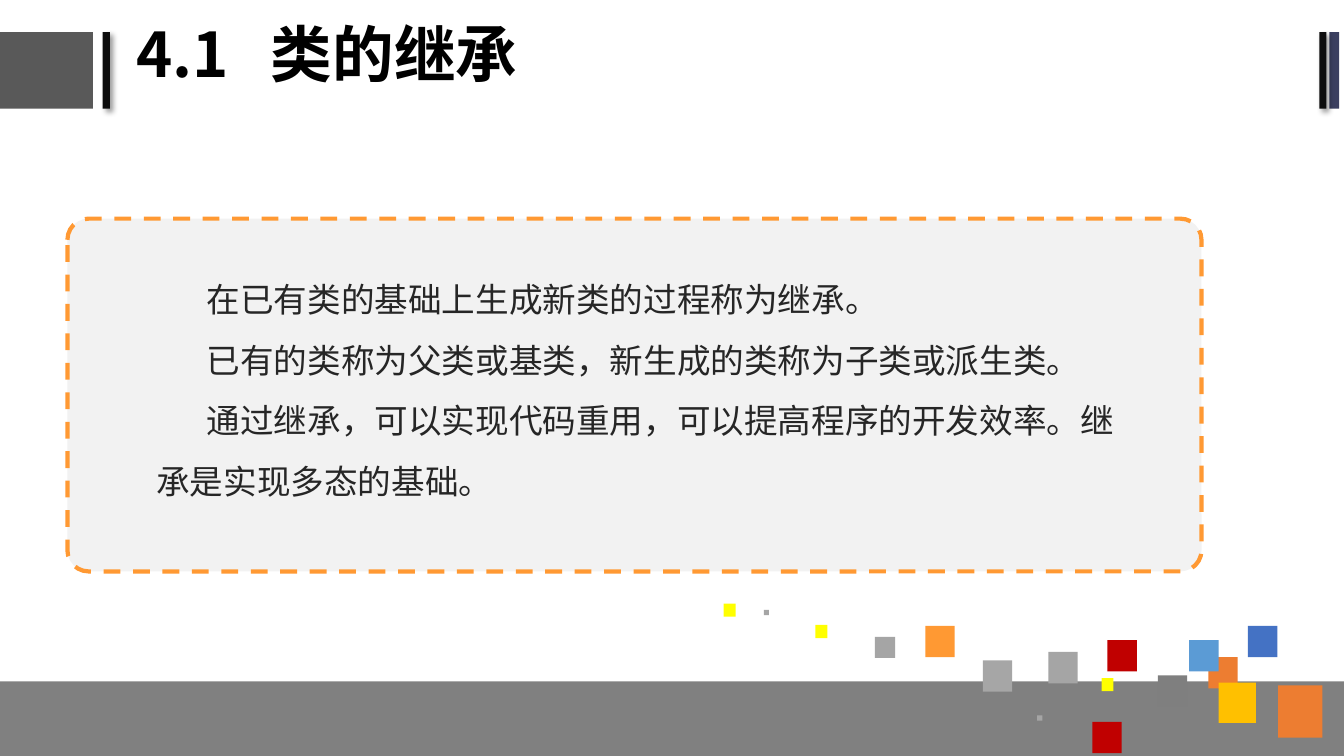
from dataclasses import dataclass

from lxml.etree import SubElement
from pptx import Presentation
from pptx.dml.color import RGBColor
from pptx.enum.dml import MSO_LINE_DASH_STYLE as DASH
from pptx.enum.shapes import MSO_SHAPE as SHAPE
from pptx.enum.text import MSO_ANCHOR, PP_ALIGN
from pptx.oxml.ns import qn
from pptx.util import Cm, Pt

FONT = "Noto Sans CJK SC"
GREY, ORANGE, YELLOW, RED = "A5A5A5", "ED7D31", "FFFF00", "C00000"

# Width and height of the decorative tiles, in cm
DOT, SMALL, MEDIUM = (0.13, 0.13), (0.3, 0.33), (0.51, 0.53)
LARGE, WIDE, HUGE = (0.74, 0.79), (0.94, 1.02), (1.12, 1.32)


@dataclass
class Box:
    left: float
    top: float
    width: float
    height: float
    fill: str = "FFFFFF"
    shadow: bool = False

    def lengths(self) -> list:
        return [Cm(v) for v in (self.left, self.top, self.width, self.height)]


@dataclass
class Tile:
    left: float
    top: float
    size: tuple
    fill: str


HEADER_TOP, HEADER_HEIGHT = 0.81, 1.93
HEADER_BARS = [
    Box(0, HEADER_TOP, 2.34, HEADER_HEIGHT, "595959"),
    Box(2.59, HEADER_TOP, 0.18, HEADER_HEIGHT, "0D0D0D", True),
    Box(33.5, HEADER_TOP, 0.25, HEADER_HEIGHT, "3B3F60"),
    Box(33.25, HEADER_TOP, 0.18, HEADER_HEIGHT, "0D0D0D", True),
]
TITLE = Box(3.18, 0.05, 21.51, 2.79)
PANEL = Box(1.7, 5.51, 28.58, 8.89, "F2F2F2")
BODY = Box(3.61, 6.35, 25.63, 7.34)
FOOTER = Box(0, 17.17, 33.87, 1.88, "808080")

TILES = [
    Tile(32.21, 17.27, HUGE, ORANGE),
    Tile(30.45, 16.56, LARGE, ORANGE),
    Tile(30.71, 17.2, WIDE, "FFC000"),
    Tile(29.97, 16.13, LARGE, "5B9BD5"),
    Tile(26.14, 18.03, DOT, GREY),
    Tile(31.45, 15.77, LARGE, "4472C4"),
    Tile(27.76, 17.09, SMALL, YELLOW),
    Tile(26.42, 16.43, LARGE, GREY),
    Tile(27.91, 16.13, LARGE, RED),
    Tile(29.18, 17.02, LARGE, "7F7F7F"),
    Tile(27.53, 18.19, LARGE, RED),
    Tile(19.25, 15.37, DOT, GREY),
    Tile(20.55, 15.75, SMALL, YELLOW),
    Tile(22.05, 16.05, MEDIUM, GREY),
    Tile(23.32, 15.77, LARGE, "FF9933"),
    Tile(24.77, 16.64, LARGE, "A6A6A6"),
    Tile(18.24, 15.21, SMALL, YELLOW),
]
SENTENCES = [
    "在已有类的基础上生成新类的过程称为继承。",
    "已有的类称为父类或基类，新生成的类称为子类或派生类。",
    "通过继承，可以实现代码重用，可以提高程序的开发效率。继承是实现多态的基础。",
]


def rgb(value: str) -> RGBColor:
    return RGBColor.from_string(value)


def add_shadow(sp) -> None:
    effects = sp._element.spPr.find(qn("a:effectLst"))
    outer = SubElement(effects, qn("a:outerShdw"), blurRad=str(Pt(4)),
                       dist=str(Pt(3)), dir="2700000", algn="tl", rotWithShape="0")
    color = SubElement(outer, qn("a:srgbClr"), val="000000")
    SubElement(color, qn("a:alpha"), val="40000")


def add_box(shapes, box: Box, kind=SHAPE.RECTANGLE):
    sp = shapes.add_shape(kind, *box.lengths())
    sp.shadow.inherit = False
    sp.fill.solid()
    sp.fill.fore_color.rgb = rgb(box.fill)
    sp.line.fill.background()
    if box.shadow:
        add_shadow(sp)
    return sp


def add_text_frame(shapes, box: Box):
    tf = shapes.add_textbox(*box.lengths()).text_frame
    tf.word_wrap = True
    return tf


def write(p, text: str, size: int, color: str, spacing: float, bold: bool = False) -> None:
    p.text = text
    p.alignment = PP_ALIGN.LEFT
    p.line_spacing = spacing
    for r in p.runs:
        r.font.size = Pt(size)
        r.font.bold = bold
        r.font.color.rgb = rgb(color)
        r.font.name = FONT
        SubElement(r._r.get_or_add_rPr(), qn("a:ea"), typeface=FONT)


def add_title(shapes) -> None:
    tf = add_text_frame(shapes, TITLE)
    tf.vertical_anchor = MSO_ANCHOR.MIDDLE
    p = tf.paragraphs[0]
    tabs = SubElement(p._p.get_or_add_pPr(), qn("a:tabLst"))
    SubElement(tabs, qn("a:tab"), pos=str(Cm(3.4)), algn="l")
    write(p, "4.1\t类的继承", 44, "000000", 0.9, bold=True)


def add_panel(shapes) -> None:
    sp = add_box(shapes, PANEL, SHAPE.ROUNDED_RECTANGLE)
    sp.adjustments[0] = 0.06
    sp.line.color.rgb = rgb("FF9933")
    sp.line.width = Pt(3)
    sp.line.dash_style = DASH.DASH


def add_body(shapes) -> None:
    tf = add_text_frame(shapes, BODY)
    tf.margin_left = tf.margin_right = Cm(0.33)
    tf.margin_top = tf.margin_bottom = Cm(0.18)
    for i, sentence in enumerate(SENTENCES):
        p = tf.add_paragraph() if i else tf.paragraphs[0]
        pPr = p._p.get_or_add_pPr()
        pPr.set("marL", "0")
        pPr.set("indent", str(Cm(1.27)))
        write(p, sentence, 24, "262626", 1.5)


def main() -> None:
    prs = Presentation()
    prs.slide_width, prs.slide_height = Cm(33.87), Cm(19.05)
    s = prs.slides.add_slide(prs.slide_layouts[6])

    # Header
    for bar in HEADER_BARS:
        add_box(s.shapes, bar)
    add_title(s.shapes)

    # Definition panel
    add_panel(s.shapes)
    add_body(s.shapes)

    # Footer band with scattered tiles
    add_box(s.shapes, FOOTER)
    group = s.shapes.add_group_shape()
    for tile in TILES:
        add_box(group.shapes, Box(tile.left, tile.top, *tile.size, tile.fill))

    prs.save("out.pptx")


if __name__ == "__main__":
    main()
